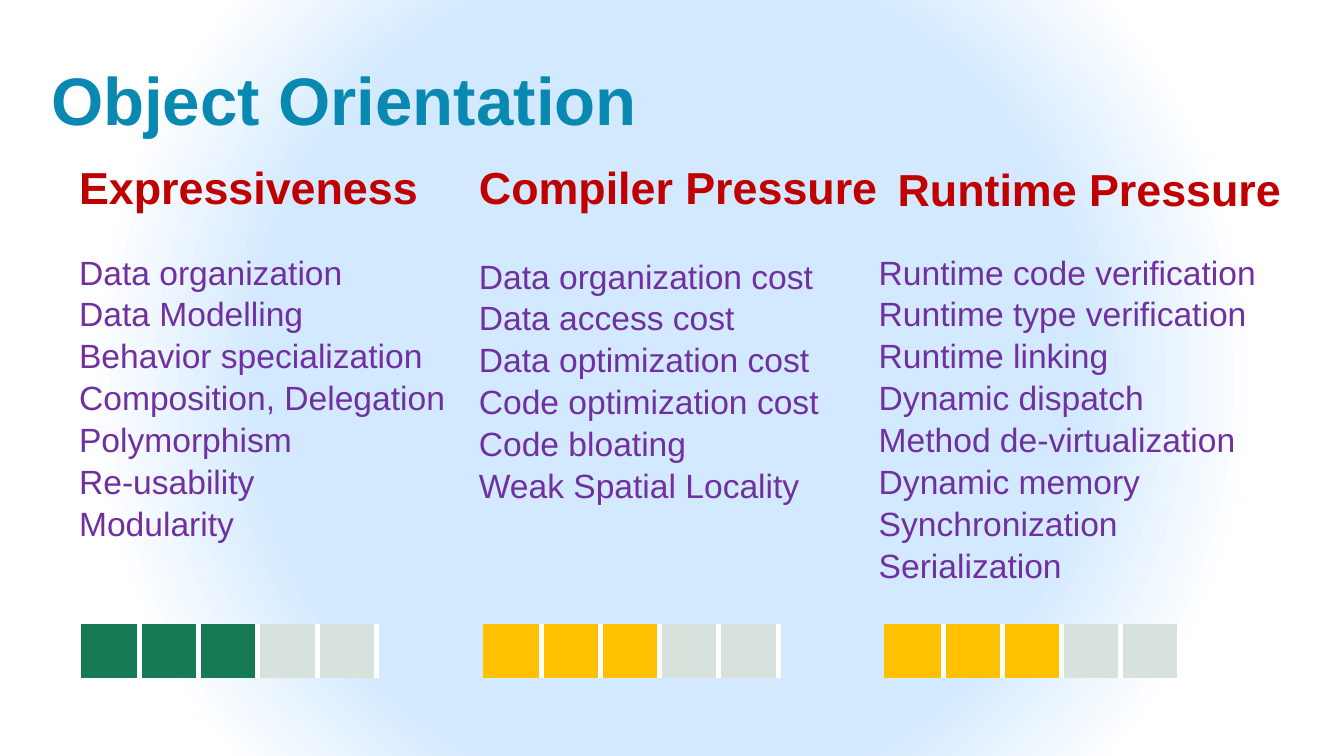
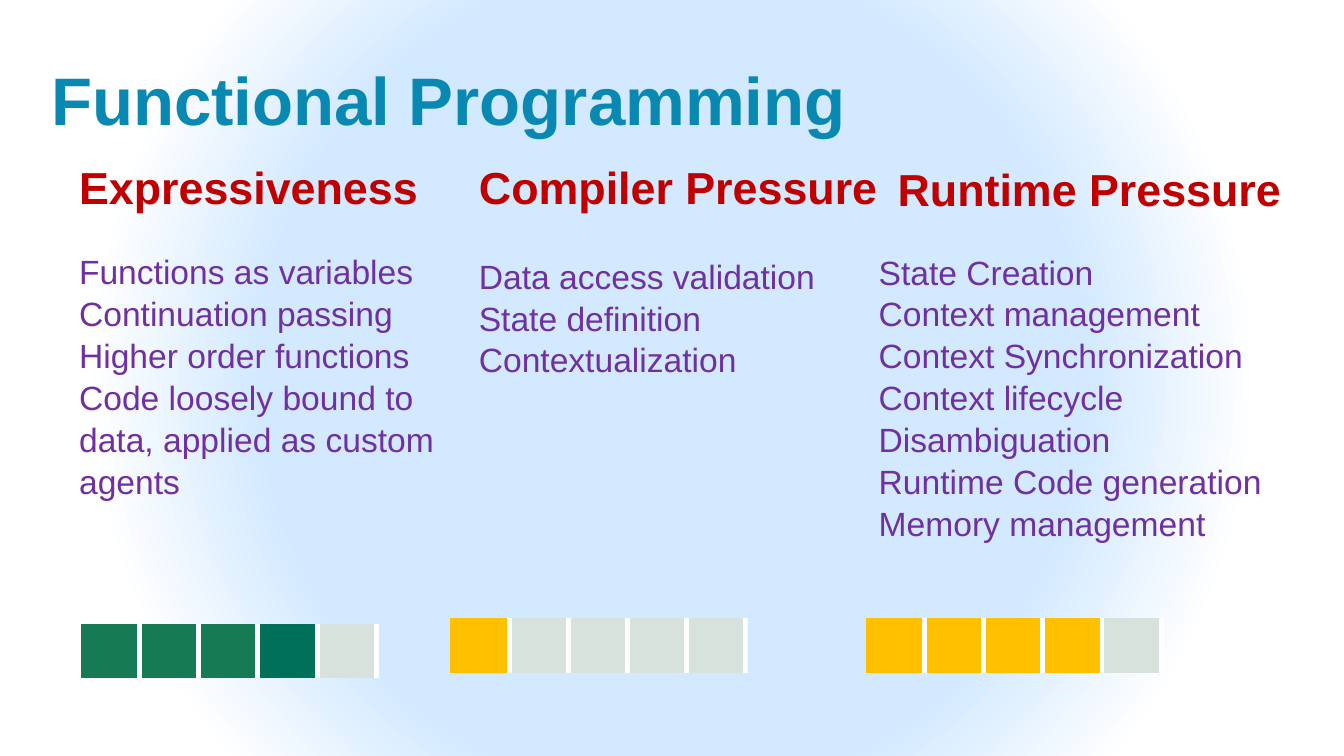
import pptx
import pptx.dml.color
import pptx.enum.text
import pptx.oxml
import pptx.oxml.ns
import pptx.util

Inches = pptx.util.Inches
FONT = "Arial"
COLORS = {
    "title": "0989B1",
    "heading": "C00000",
    "list": "7030A0",
    "green": "167B54",
    "teal": "017058",
    "amber": "FFC000",
    "off": "D7E2DC",
    "glow": "D2E9FF",
    "white": "FFFFFF",
}
NO_STYLE_TABLE = "{2D5ABB26-0587-4C30-8999-92F81FD0307C}"

# Three columns: text starts on a regular grid, with small offsets
COLUMN_LEFT, COLUMN_STEP = 0.49, 2.975
HEADINGS = [
    # text, offset from the column, top, width
    ("Expressiveness", 0, 1.12, 2.98),
    ("Compiler Pressure", 0, 1.12, 3.21),
    ("Runtime Pressure", 0.14, 1.14, 3.21),
]
LIST_BOXES = [(1.81, 3.02), (1.84, 2.9), (1.81, 3.16)]  # top, width
METER_CELLS, CELL_WIDTH, CELL_HEIGHT = 5, 0.44, 0.4

# Each column: list lines, meter position, colours of the filled meter cells
SLIDES = [
    ("Object Orientation", 5.17, [
        (["Data organization", "Data Modelling", "Behavior specialization",
          "Composition, Delegation", "Polymorphism", "Re-usability", "Modularity"],
         (0.6, 4.64), ["green"] * 3),
        (["Data organization cost", "Data access cost", "Data optimization cost",
          "Code optimization cost", "Code bloating", "Weak Spatial Locality"],
         (3.59, 4.64), ["amber"] * 3),
        (["Runtime code verification", "Runtime type verification", "Runtime linking",
          "Dynamic dispatch", "Method de-virtualization", "Dynamic memory",
          "Synchronization", "Serialization"],
         (6.58, 4.64), ["amber"] * 3),
    ]),
    ("Functional Programming", 6.51, [
        (["Functions as variables", "Continuation passing", "Higher order functions",
          "Code loosely bound to data, applied as custom agents"],
         (0.6, 4.64), ["green"] * 3 + ["teal"]),
        (["Data access validation", "State definition", "Contextualization"],
         (3.35, 4.6), ["amber"]),
        (["State Creation", "Context management", "Context Synchronization",
          "Context lifecycle", "Disambiguation", "Runtime Code generation",
          "Memory management"],
         (6.44, 4.6), ["amber"] * 4),
    ]),
]


def write_text(shape, lines, size, color, bold=False):
    """Fill a text shape with left-aligned lines in one style."""
    frame = shape.text_frame
    frame.text = "\n".join(lines)
    frame.word_wrap = True
    frame.auto_size = pptx.enum.text.MSO_AUTO_SIZE.NONE
    frame.vertical_anchor = pptx.enum.text.MSO_ANCHOR.TOP
    for paragraph in frame.paragraphs:
        paragraph.alignment = pptx.enum.text.PP_ALIGN.LEFT
        paragraph.line_spacing = 1.04
        for run in paragraph.runs:
            run.font.name = FONT
            run.font.size = pptx.util.Pt(size)
            run.font.bold = bold
            run.font.color.rgb = pptx.dml.color.RGBColor.from_string(COLORS[color])


def add_meter(slide, left, top, filled):
    """Add a one-row table whose first cells show the score."""
    graphic = slide.shapes.add_table(
        1, METER_CELLS, Inches(left), Inches(top),
        Inches(METER_CELLS * CELL_WIDTH), Inches(CELL_HEIGHT))
    table = graphic.table
    table.first_row = table.horz_banding = False
    table._tbl.tblPr.find(pptx.oxml.ns.qn("a:tableStyleId")).text = NO_STYLE_TABLE
    cell_colors = filled + ["off"] * (METER_CELLS - len(filled))
    for index, color in enumerate(cell_colors):
        table.columns[index].width = Inches(CELL_WIDTH)
        cell = table.cell(0, index)
        cell.fill.solid()
        cell.fill.fore_color.rgb = pptx.dml.color.RGBColor.from_string(COLORS[color])
        border = pptx.oxml.parse_xml(
            f'<a:lnR {pptx.oxml.ns.nsdecls("a")} w="{pptx.util.Pt(3)}"><a:solidFill>'
            f'<a:srgbClr val="{COLORS["white"]}"/></a:solidFill></a:lnR>')
        cell._tc.get_or_add_tcPr().insert(0, border)


presentation = pptx.Presentation()
presentation.slide_width = Inches(10)
presentation.slide_height = Inches(5.625)

# Shared background: a round glow that fades to white
master = presentation.slide_master
master.background.fill.solid()
background = master.element.find(".//" + pptx.oxml.ns.qn("p:bgPr"))
stops = "".join(
    f'<a:gs pos="{position * 1000}"><a:srgbClr val="{COLORS[color]}"/></a:gs>'
    for position, color in [(53, "glow"), (76, "white"), (100, "white")])
background.replace(background[0], pptx.oxml.parse_xml(
    f'<a:gradFill {pptx.oxml.ns.nsdecls("a")} rotWithShape="1"><a:gsLst>{stops}</a:gsLst>'
    '<a:path path="circle"><a:fillToRect l="50000" t="50000" r="50000" b="50000"/>'
    '</a:path></a:gradFill>'))

for title_text, title_width, columns in SLIDES:
    slide = presentation.slides.add_slide(presentation.slide_layouts[5])
    title = slide.shapes.title
    title.left, title.top = Inches(0.28), Inches(0.36)
    title.width, title.height = Inches(title_width), Inches(0.71)
    write_text(title, [title_text], 36, "title", bold=True)

    for index, (lines, meter_position, filled) in enumerate(columns):
        left = COLUMN_LEFT + index * COLUMN_STEP
        heading_text, offset, heading_top, heading_width = HEADINGS[index]
        heading = slide.shapes.add_textbox(
            Inches(left + offset), Inches(heading_top), Inches(heading_width), Inches(0.5))
        write_text(heading, [heading_text], 24, "heading", bold=True)

        list_top, list_width = LIST_BOXES[index]
        line_count = sum(3 if len(line) > 40 else 1 for line in lines)
        list_box = slide.shapes.add_textbox(
            Inches(left), Inches(list_top), Inches(list_width),
            Inches(0.1 + 0.303 * line_count))
        write_text(list_box, lines, 18, "list")

        add_meter(slide, *meter_position, filled)

presentation.save("out.pptx")
